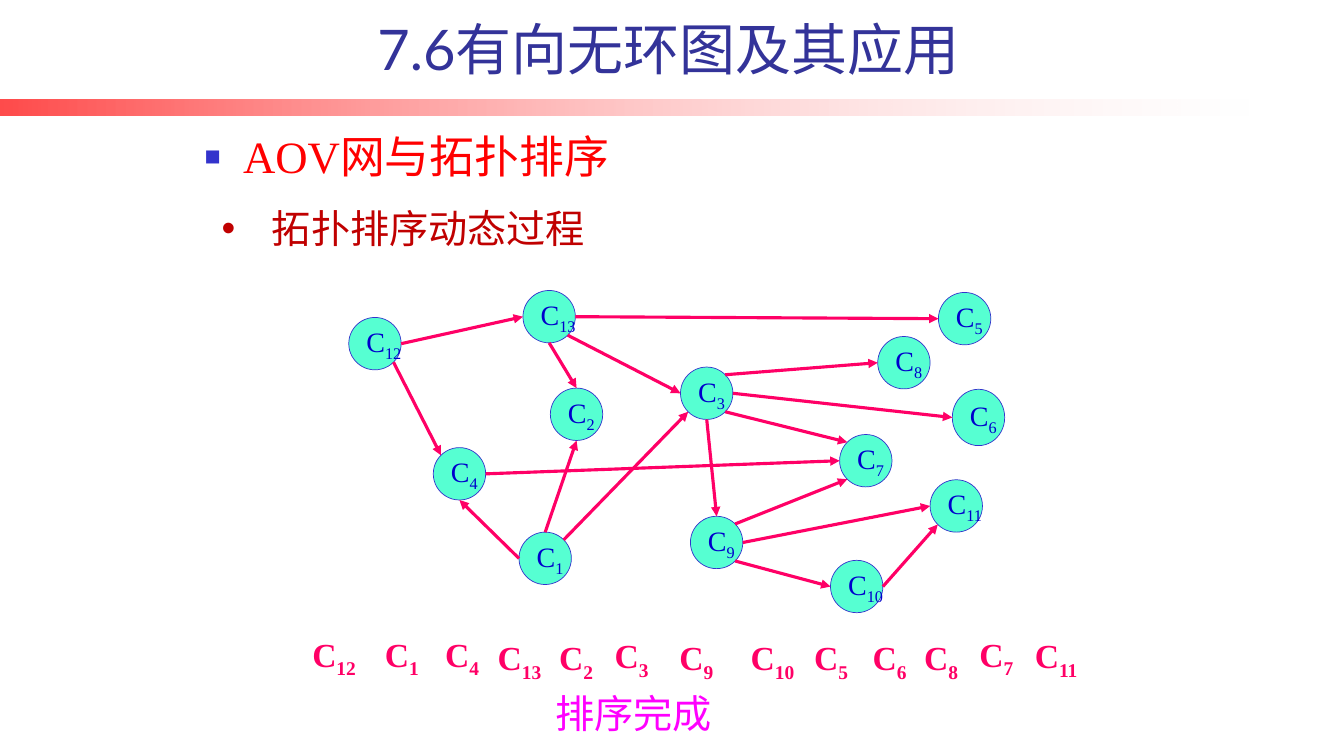
from math import cos, radians, sin

from lxml.etree import SubElement
from pptx import Presentation
from pptx.dml.color import RGBColor
from pptx.enum.shapes import MSO_CONNECTOR as Connector, MSO_SHAPE as Shape
from pptx.enum.text import MSO_ANCHOR as Anchor, MSO_AUTO_SIZE as AutoSize, PP_ALIGN as Align
from pptx.oxml.ns import qn
from pptx.util import Cm, Pt

SERIF, SANS, CJK = "Times New Roman", "Lato", "Noto Sans CJK SC"
PINK = "FF0066"
DIAMETER = 1.32
COMPASS = {"e": 0, "se": 45, "s": 90, "sw": 135, "w": 180, "nw": 225, "n": 270, "ne": 315}

COURSES = {
    1: (4.95, 6.75), 3: (9.02, 2.59), 4: (2.79, 4.62), 2: (5.74, 3.12), 7: (13.03, 4.29),
    6: (15.87, 3.2), 13: (5.05, 0.66), 8: (13.99, 1.82), 9: (9.27, 6.35), 10: (12.8, 7.46),
    12: (0.66, 1.34), 11: (15.31, 5.43), 5: (15.52, 0.71),
}
HEIGHTS = {6: 1.42}
PREREQUISITES = [
    (12, "e", 13, "w"), (12, "se", 4, "nw"), (1, "w", 4, "s"), (1, "n", 2, "s"),
    (4, "e", 7, "w"), (13, "e", 5, "w"), (13, "s", 2, "n"), (3, "s", 9, "n"),
    (3, "ne", 8, "w"), (3, "e", 6, "w"), (3, "se", 7, "nw"), (9, "ne", 7, "sw"),
    (9, "se", 10, "w"), (9, "e", 11, "w"), (10, "e", 11, "sw"), (1, "ne", 3, "sw"),
    (13, "se", 3, "w"),
]
SORTED_COURSES = [
    (12, 0, 0), (1, 1.83, 0), (4, 3.35, 0), (13, 4.67, 0.08), (2, 6.22, 0.08),
    (3, 7.62, 0.03), (9, 9.25, 0.08), (10, 11.05, 0.08), (5, 12.65, 0.08),
    (6, 14.12, 0.08), (8, 15.42, 0.08), (7, 16.81, 0), (11, 18.21, 0.03),
]


def rgb(hex_color):
    """Turn a hex string into a colour."""
    return RGBColor.from_string(hex_color)


def place(part, left, top, width, height):
    """Move a part to a box given in centimetres."""
    part.left, part.top, part.width, part.height = Cm(left), Cm(top), Cm(width), Cm(height)


def style(paragraph, size, typeface, color, bold=False):
    """Format every run of a paragraph."""
    for run in paragraph.runs:
        run.font.size, run.font.name, run.font.bold = Pt(size), typeface, bold
        run.font.color.rgb = rgb(color)
        SubElement(run._r.get_or_add_rPr(), qn("a:ea"), typeface=CJK)


def write_course(paragraph, number, size, color, bold=False):
    """Write C with the course number as its subscript."""
    paragraph.text = "C"
    subscript = paragraph.add_run()
    subscript.text = str(number)
    style(paragraph, size, SERIF, color, bold)
    subscript._r.get_or_add_rPr().set("baseline", "-25000")


def fill_heading(heading, box, wording, size, typeface, color, anchor, align):
    """Place a placeholder and write its single formatted paragraph."""
    place(heading, *box)
    frame = heading.text_frame
    frame.text = wording
    frame.auto_size, frame.vertical_anchor = AutoSize.NONE, anchor
    paragraph = frame.paragraphs[0]
    paragraph.alignment, paragraph.space_before = align, Pt(0)
    style(paragraph, size, typeface, color)
    return paragraph


def add_bullet(paragraph, symbol, indent, color, percent):
    """Give a paragraph a bullet with a hanging indent."""
    properties = paragraph._p.get_or_add_pPr()
    properties.set("marL", str(Cm(indent)))
    properties.set("indent", str(-Cm(indent)))
    SubElement(SubElement(properties, qn("a:buClr")), qn("a:srgbClr"), val=color)
    SubElement(properties, qn("a:buSzPct"), val=str(percent * 1000))
    SubElement(properties, qn("a:buFont"), typeface="Arial")
    SubElement(properties, qn("a:buChar"), char=symbol)


def add_divider(slide, left, top, width, height):
    """Draw the fading red bar under the title."""
    divider = slide.shapes.add_shape(Shape.RECTANGLE, Cm(left), Cm(top), Cm(width), Cm(height))
    divider.shadow.inherit = False
    divider.line.fill.background()
    divider.fill.gradient()
    divider.fill.gradient_angle = 0
    for stop, color, opacity in zip(divider.fill.gradient_stops, ("FF0000", "FFFFFF"), (71, 18)):
        stop.color.rgb = rgb(color)
    for tint, opacity in zip(divider._element.spPr.iter(qn("a:srgbClr")), (71, 18)):
        SubElement(tint, qn("a:alpha"), val=str(opacity * 1000))


def add_course(slide, number, center_x, center_y):
    """Draw one course as a labelled circle."""
    height = HEIGHTS.get(number, DIAMETER)
    course = slide.shapes.add_shape(
        Shape.OVAL, Cm(center_x - DIAMETER / 2), Cm(center_y - height / 2), Cm(DIAMETER), Cm(height))
    course.shadow.inherit = False
    course.fill.solid()
    course.fill.fore_color.rgb = rgb("56FFD2")
    course.line.color.rgb = rgb("3333CC")
    course.line.width = Pt(0.5)
    course.text_frame.word_wrap = False
    course.text_frame.vertical_anchor = Anchor.MIDDLE
    label = course.text_frame.paragraphs[0]
    label.alignment = Align.LEFT
    write_course(label, number, 20, "0000CC")


def add_prerequisite(slide, start, end):
    """Draw an arrow between two points."""
    arrow = slide.shapes.add_connector(Connector.STRAIGHT, *map(Cm, start + end))
    arrow.line.color.rgb = rgb(PINK)
    arrow.line.width = Pt(2.25)
    SubElement(arrow.line._get_or_add_ln(), qn("a:tailEnd"), type="triangle")
    SubElement(arrow._element.spPr, qn("a:effectLst"))


def add_graph(slide, left, top):
    """Draw the course network from its top left corner."""
    def rim(number, side):
        """Find the point of a circle on the given compass side."""
        angle, (x, y) = radians(COMPASS[side]), COURSES[number]
        height = HEIGHTS.get(number, DIAMETER)
        return left + x + DIAMETER / 2 * cos(angle), top + y + height / 2 * sin(angle)

    for number, (x, y) in COURSES.items():
        add_course(slide, number, left + x, top + y)
    for source, exit_side, target, entry_side in PREREQUISITES:
        add_prerequisite(slide, rim(source, exit_side), rim(target, entry_side))


def add_caption(slide, left, top, width, height):
    """Add a wrapping text box and return its first paragraph."""
    caption = slide.shapes.add_textbox(Cm(left), Cm(top), Cm(width), Cm(height))
    caption.text_frame.word_wrap = True
    return caption.text_frame.paragraphs[0]


def add_result(slide, left, top):
    """Write the sorted courses and the closing remark below them."""
    for number, x, y in SORTED_COURSES:
        write_course(add_caption(slide, left + x, top + y, 1.8, 1.27), number, 24, PINK, True)
    remark = add_caption(slide, left + 6.12, top + 1.4, 4.8, 1.45)
    remark.text = "排序完成"
    style(remark, 28, SANS, "FF00FF")


def build_sorting_slide(deck):
    """Build the topological sorting slide."""
    slide = deck.slides.add_slide(deck.slide_layouts[3])
    title, topic, subtopic = slide.placeholders
    add_divider(slide, 0, 2.51, 31.47, 0.41)
    fill_heading(title, (6.02, 0.38, 21.64, 1.8), "7.6有向无环图及其应用",
                 40, SANS, "333399", Anchor.BOTTOM, Align.CENTER)
    topic_line = fill_heading(topic, (4.9, 3.05, 12.4, 1.68), "AOV网与拓扑排序",
                              32, SERIF, "FF0000", Anchor.BOTTOM, Align.LEFT)
    add_bullet(topic_line, "■", 0.97, "3333CC", 60)
    subtopic_line = fill_heading(subtopic, (5.33, 5.03, 11.96, 1.45), "拓扑排序动态过程",
                                 28, CJK, "C00000", Anchor.TOP, Align.JUSTIFY)
    add_bullet(subtopic_line, "•", 1.27, "C00000", 100)
    add_graph(slide, 8.79, 7.32)
    add_result(slide, 7.62, 15.85)


def main():
    """Create and save the deck."""
    deck = Presentation()
    deck.slide_width, deck.slide_height = Cm(33.87), Cm(19.05)
    build_sorting_slide(deck)
    deck.save("out.pptx")


if __name__ == "__main__":
    main()
